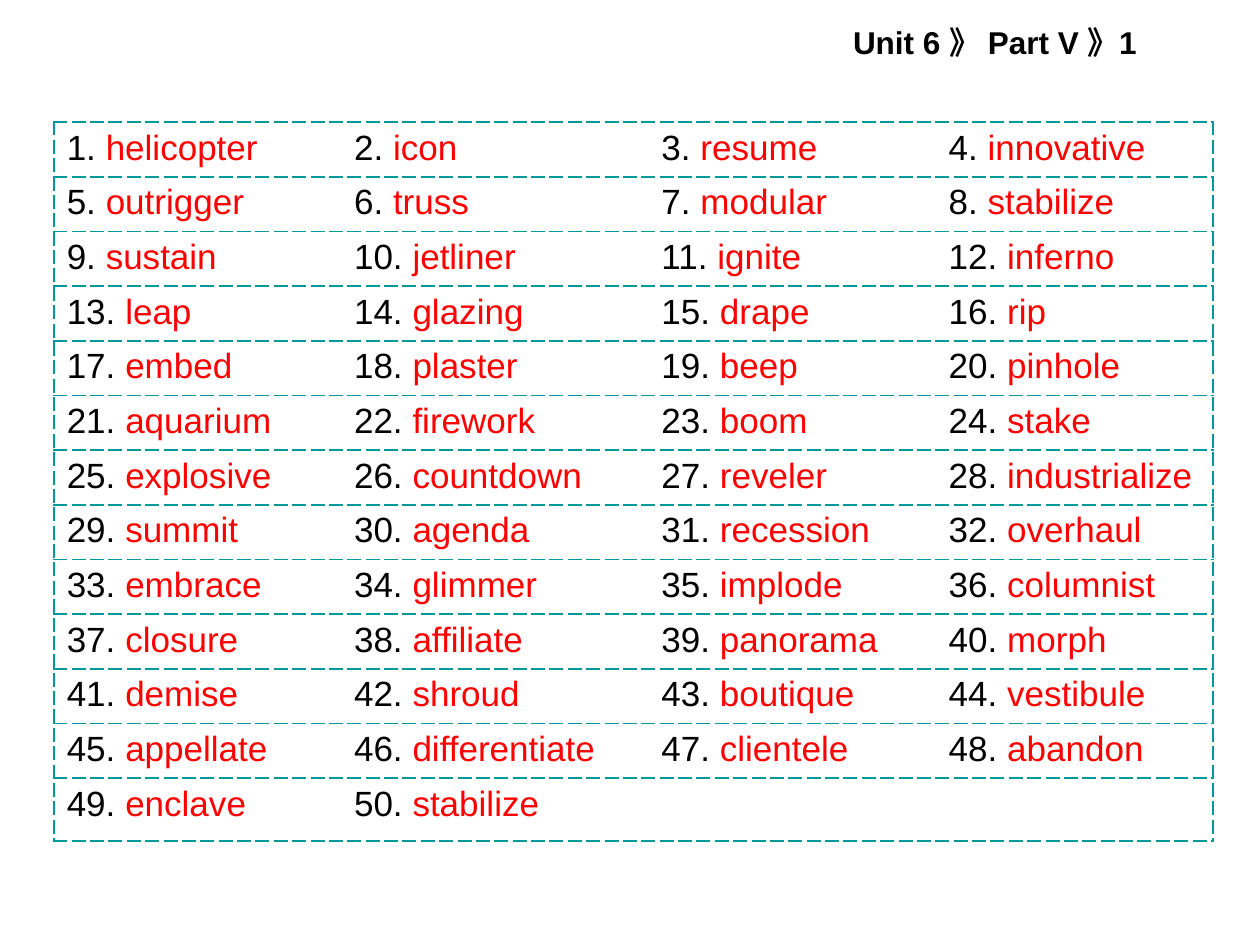
import lxml.etree
import pptx
import pptx.dml.color
import pptx.enum.text
import pptx.oxml.ns
import pptx.util

BLACK, RED, TEAL = "000000", "FF0000", "009999"
NO_GRID_STYLE = "{2D5ABB26-0587-4C30-8999-92F81FD0307C}"
COLUMN_WIDTHS = [2.28, 2.44, 2.28, 2.2]
ROW_HEIGHT, LAST_ROW_HEIGHT = 0.434, 0.5
WORDS = """
helicopter icon resume innovative
outrigger truss modular stabilize
sustain jetliner ignite inferno
leap glazing drape rip
embed plaster beep pinhole
aquarium firework boom stake
explosive countdown reveler industrialize
summit agenda recession overhaul
embrace glimmer implode columnist
closure affiliate panorama morph
demise shroud boutique vestibule
appellate differentiate clientele abandon
enclave stabilize
""".split()


def add_run(paragraph, text, size, color, bold=False):
    run = paragraph.add_run()
    run.text = text
    run.font.name = "Arial"
    run.font.size = pptx.util.Pt(size)
    run.font.bold = bold
    run.font.color.rgb = pptx.dml.color.RGBColor.from_string(color)


def add_dashed_border(cell, side):
    """Draw one side of a cell: L, R, T or B."""
    qn = pptx.oxml.ns.qn
    line = lxml.etree.SubElement(cell._tc.get_or_add_tcPr(), qn(f"a:ln{side}"),
                                 w=str(pptx.util.Pt(1.08)))
    fill = lxml.etree.SubElement(line, qn("a:solidFill"))
    lxml.etree.SubElement(fill, qn("a:srgbClr"), val=TEAL)
    lxml.etree.SubElement(line, qn("a:prstDash"), val="dash")


presentation = pptx.Presentation()
presentation.slide_width = pptx.util.Inches(10)
presentation.slide_height = pptx.util.Inches(7.5)
slide = presentation.slides.add_slide(presentation.slide_layouts[5])

# Heading
title = slide.shapes.title
title.left, title.top = pptx.util.Inches(6.67), pptx.util.Inches(0.13)
title.width, title.height = pptx.util.Inches(2.7), pptx.util.Inches(0.4)
frame = title.text_frame
frame.word_wrap = False
frame.auto_size = pptx.enum.text.MSO_AUTO_SIZE.SHAPE_TO_FIT_TEXT
frame.vertical_anchor = pptx.enum.text.MSO_ANCHOR.TOP
heading = frame.paragraphs[0]
heading.alignment = pptx.enum.text.PP_ALIGN.LEFT
add_run(heading, "Unit 6 》 Part V 》1", 18, BLACK, bold=True)

# Word table
column_count = len(COLUMN_WIDTHS)
row_count = -(-len(WORDS) // column_count)
table_height = (row_count - 1) * ROW_HEIGHT + LAST_ROW_HEIGHT
table_frame = slide.shapes.add_table(
    row_count, column_count, pptx.util.Inches(0.43), pptx.util.Inches(0.97),
    pptx.util.Inches(sum(COLUMN_WIDTHS)), pptx.util.Inches(table_height))
table = table_frame.table
table.first_row = table.horz_banding = False
table._tbl.tblPr.find(pptx.oxml.ns.qn("a:tableStyleId")).text = NO_GRID_STYLE
for column, width in zip(table.columns, COLUMN_WIDTHS):
    column.width = pptx.util.Inches(width)
for row in table.rows:
    row.height = pptx.util.Inches(ROW_HEIGHT)
table.rows[row_count - 1].height = pptx.util.Inches(LAST_ROW_HEIGHT)

for index, cell in enumerate(table.iter_cells()):
    column_index = index % column_count
    if column_index == 0:
        add_dashed_border(cell, "L")
    if column_index == column_count - 1:
        add_dashed_border(cell, "R")
    add_dashed_border(cell, "T")
    add_dashed_border(cell, "B")
    cell.fill.background()
    if index < len(WORDS):
        paragraph = cell.text_frame.paragraphs[0]
        add_run(paragraph, f"{index + 1}. ", 20, BLACK)
        add_run(paragraph, WORDS[index], 20, RED)

presentation.save("out.pptx")
